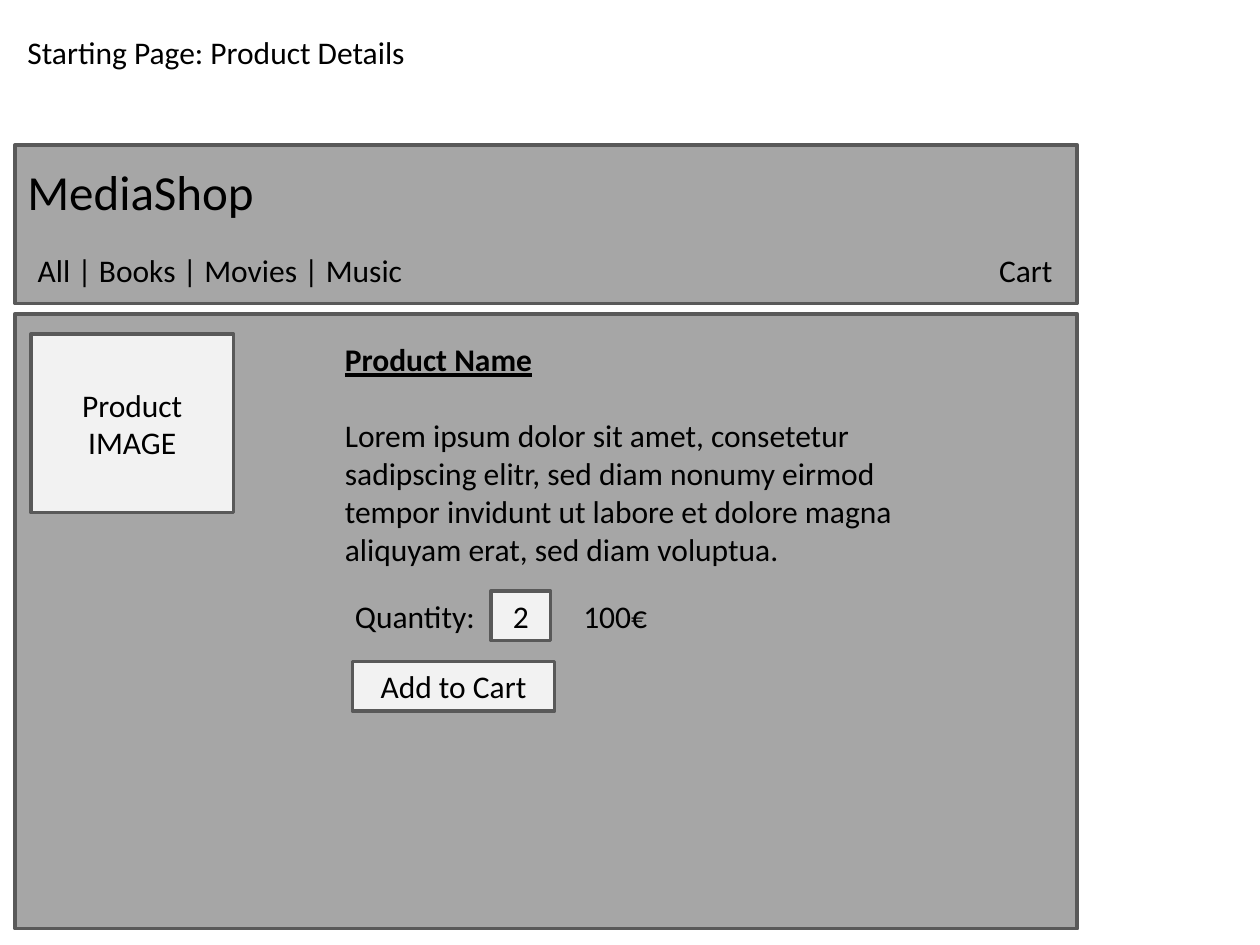
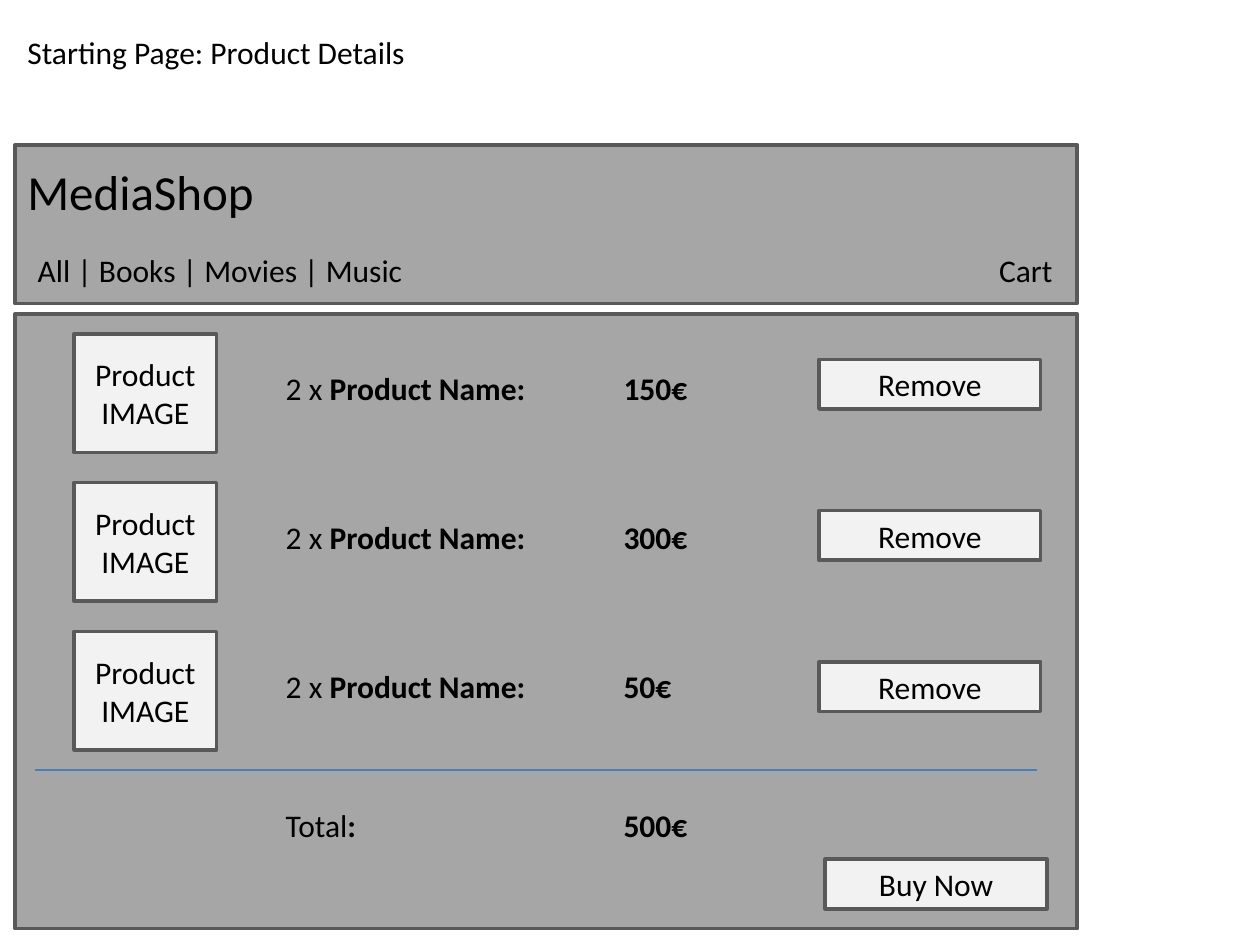
from lxml.etree import SubElement
from pptx import Presentation
from pptx.dml.color import RGBColor
from pptx.enum.shapes import MSO_CONNECTOR, MSO_SHAPE
from pptx.enum.text import MSO_ANCHOR, MSO_AUTO_SIZE, PP_ALIGN
from pptx.oxml.ns import qn
from pptx.util import Pt

CAPTION = "Starting Page: Product Details"
SHOP_NAME = "MediaShop"
MENU = "All | Books | Movies | Music"
IMAGE_LABEL = ("Product", "IMAGE")
PRODUCT_NAME = "Product Name"
DESCRIPTION = (
    "Lorem ipsum dolor sit amet, consetetur sadipscing elitr, sed diam nonumy "
    "eirmod tempor invidunt ut labore et dolore magna aliquyam erat, sed diam voluptua."
)
CART_PRICES = ["150€", "300€", "50€"]
TOTAL = "500€"

FONT = "Calibri"
BLACK = RGBColor(0x00, 0x00, 0x00)
PANEL_GRAY = RGBColor(0xA6, 0xA6, 0xA6)
CONTROL_GRAY = RGBColor(0xF2, 0xF2, 0xF2)
OUTLINE_GRAY = RGBColor(0x59, 0x59, 0x59)
RULE_BLUE = RGBColor(0x4B, 0x7E, 0xBC)

PANEL_LEFT, PANEL_WIDTH = 8.6, 607
LINE_HEIGHT = 29
CONTROL_HEIGHT = 28.4
BUTTON_WIDTH = 126.7
CONTENT_TOP = 190.8
ROW_PITCH = 85
REMOVE_TOP, REMOVE_PITCH = 205.4, 86.4
PRICE_TAB = 193


def style(paragraph, size=18):
    font = paragraph.font
    font.name, font.size, font.color.rgb = FONT, Pt(size), BLACK


def add_box(slide, left, top, width, height, fill, lines=()):
    """Add an outlined rectangle with centred lines of text."""
    box = slide.shapes.add_shape(
        MSO_SHAPE.RECTANGLE, Pt(left), Pt(top), Pt(width), Pt(height))
    box.shadow.inherit = False
    box.fill.solid()
    box.fill.fore_color.rgb = fill
    box.line.color.rgb = OUTLINE_GRAY
    box.line.width = Pt(2)
    if lines:
        frame = box.text_frame
        frame.text = "\n".join(lines)
        frame.vertical_anchor = MSO_ANCHOR.MIDDLE
        for paragraph in frame.paragraphs:
            paragraph.alignment = PP_ALIGN.CENTER
            style(paragraph)


def add_control(slide, left, top, width, label):
    add_box(slide, left, top, width, CONTROL_HEIGHT, CONTROL_GRAY, [label])


def add_text(slide, text, left, top, width, height=LINE_HEIGHT, size=18, wrap=False):
    frame = slide.shapes.add_textbox(Pt(left), Pt(top), Pt(width), Pt(height)).text_frame
    frame.word_wrap = wrap
    frame.auto_size = MSO_AUTO_SIZE.SHAPE_TO_FIT_TEXT
    frame.text = text
    for paragraph in frame.paragraphs:
        style(paragraph, size)
    return frame


def add_price_line(slide, top, plain, bold, price):
    """Add a line whose price stands at a tab stop."""
    frame = add_text(slide, plain, 156.2, top, 300, wrap=True)
    paragraph = frame.paragraphs[0]
    run = paragraph.add_run()
    run.text = f"{bold}\t{price}"
    run.font.bold = True
    properties = paragraph._p.get_or_add_pPr()
    tabs = SubElement(properties, qn("a:tabLst"))
    SubElement(tabs, qn("a:tab"), pos=str(Pt(PRICE_TAB)), algn="l")
    properties.insert(0, tabs)


def add_shop_page(presentation):
    slide = presentation.slides.add_slide(presentation.slide_layouts[6])
    for top, height in ((82.8, 90.7), (179.3, 351.4)):
        add_box(slide, PANEL_LEFT, top, PANEL_WIDTH, height, PANEL_GRAY)
    add_text(slide, SHOP_NAME, PANEL_LEFT, 88.6, 145.4, 41, size=28)
    add_text(slide, CAPTION, PANEL_LEFT, 15.1, 232.6)
    add_text(slide, MENU, 14.4, 139.7, 229)
    add_text(slide, "Cart", 563.8, 139.7, 45.4)
    return slide


def add_product_page(presentation):
    slide = add_shop_page(presentation)
    add_box(slide, 17.8, CONTENT_TOP, 115.6, 102.2, CONTROL_GRAY, IMAGE_LABEL)
    frame = add_text(slide, f"{PRODUCT_NAME}\n{DESCRIPTION}",
                     190, CONTENT_TOP, 360, 138.2, wrap=True)
    heading = frame.paragraphs[0]
    heading.font.bold = heading.font.underline = True
    heading.space_after = Pt(22)
    order_top = 337.7
    add_text(slide, "Quantity:", 195.8, order_top, 84.2)
    add_control(slide, 280.6, order_top, 34, "2")
    add_text(slide, "100€", 326.2, order_top, 51)
    add_control(slide, 201.4, 378, 115.6, "Add to Cart")


def add_cart_page(presentation):
    slide = add_shop_page(presentation)
    for row, price in enumerate(CART_PRICES):
        top = CONTENT_TOP + row * ROW_PITCH
        add_box(slide, 42.4, top, 81.4, 67.8, CONTROL_GRAY, IMAGE_LABEL)
        add_price_line(slide, top + 16.6, "2 x ", f"{PRODUCT_NAME}:", price)
        add_control(slide, 468, REMOVE_TOP + row * REMOVE_PITCH, BUTTON_WIDTH, "Remove")
    rule = slide.shapes.add_connector(
        MSO_CONNECTOR.STRAIGHT, Pt(20.2), Pt(440), Pt(592.6), Pt(440))
    rule.line.color.rgb = RULE_BLUE
    rule.line.width = Pt(0.75)
    SubElement(rule._element.spPr, qn("a:effectLst"))
    add_price_line(slide, 457.2, "Total", ":", TOTAL)
    add_control(slide, 471.6, 491, BUTTON_WIDTH, "Buy Now")


def main():
    presentation = Presentation()
    presentation.slide_width, presentation.slide_height = Pt(720), Pt(540)
    add_product_page(presentation)
    add_cart_page(presentation)
    presentation.save("out.pptx")


if __name__ == "__main__":
    main()
